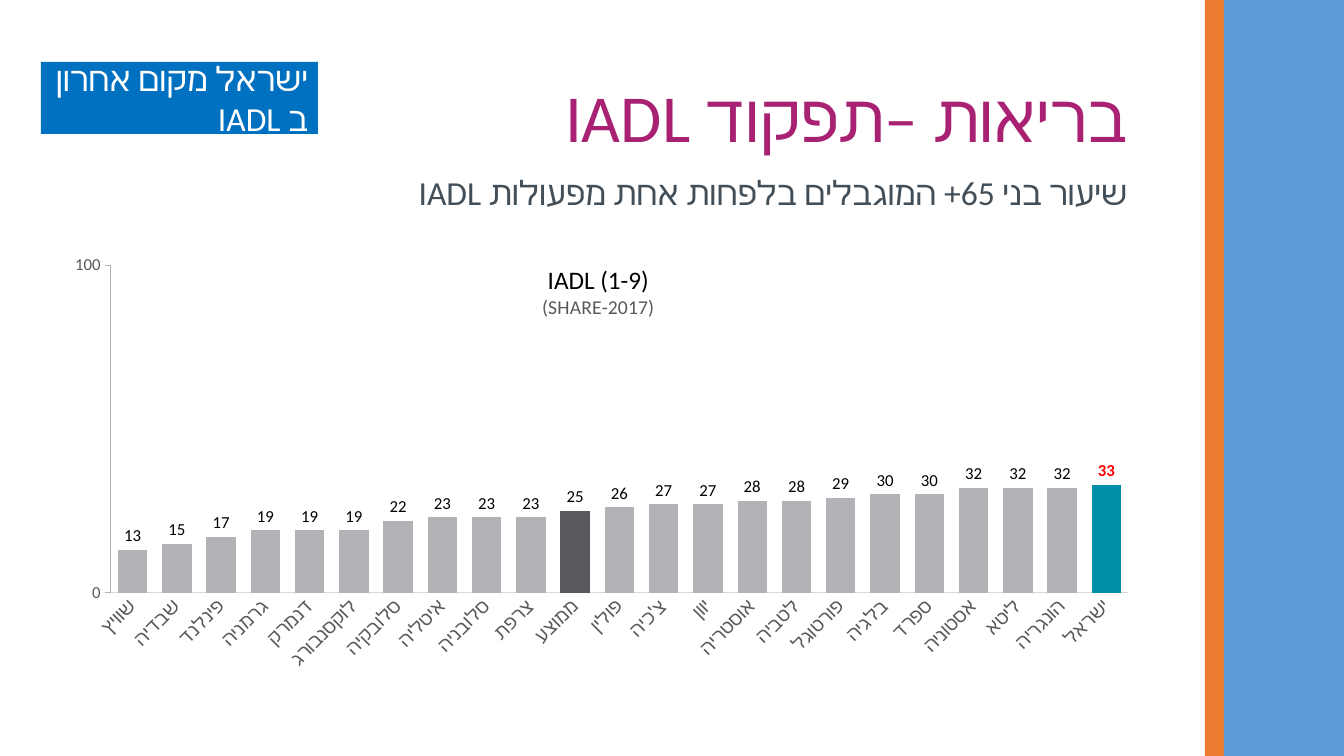
from dataclasses import dataclass

import pptx
import pptx.chart.data
import pptx.dml.color
import pptx.enum.chart
import pptx.enum.shapes
import pptx.enum.text
import pptx.oxml
import pptx.oxml.ns
import pptx.util

EMU_PER_PX = 914400 / 100.8


@dataclass(frozen=True)
class Theme:
    font: str = "Calibri"
    orange: str = "ED7D31"
    blue: str = "5B9BD5"
    callout: str = "0070C0"
    title: str = "A82172"
    subtitle: str = "424F58"
    white: str = "FFFFFF"
    black: str = "000000"
    axis_text: str = "595959"
    baseline: str = "D9D9D9"
    bar: str = "B1B3B6"
    average: str = "57595D"
    israel: str = "008DA8"
    alert: str = "FF0000"
    title_size: int = 48
    text_size: int = 24
    chart_title_size: int = 18
    category_size: int = 14
    label_size: int = 12


THEME = Theme()

COUNTRIES = {
    "שוויץ": 13, "שבדיה": 15, "פינלנד": 17, "גרמניה": 19, "דנמרק": 19,
    "לוקסנבורג": 19, "סלובקיה": 22, "איטליה": 23, "סלובניה": 23, "צרפת": 23,
    "ממוצע": 25, "פולין": 26, "צ'כיה": 27, "יוון": 27, "אוסטריה": 28,
    "לטביה": 28, "פורטוגל": 29, "בלגיה": 30, "ספרד": 30, "אסטוניה": 32,
    "ליטא": 32, "הונגריה": 32, "ישראל": 33,
}


def px(*lengths):
    return [pptx.util.Emu(round(length * EMU_PER_PX)) for length in lengths]


def color(value):
    return pptx.dml.color.RGBColor.from_string(value)


def style_font(font, size, value, bold=False):
    font.name = THEME.font
    font.size = pptx.util.Pt(size)
    font.bold = bold
    font.color.rgb = color(value)


def add_hebrew(shape, text, size, value, line_spacing=None, indent=0):
    """Write one right-to-left paragraph into the shape."""
    frame = shape.text_frame
    frame.word_wrap = True
    frame.vertical_anchor = pptx.enum.text.MSO_ANCHOR.MIDDLE
    paragraph = frame.paragraphs[0]
    paragraph.alignment = pptx.enum.text.PP_ALIGN.RIGHT
    paragraph.line_spacing = line_spacing
    properties = paragraph._p.get_or_add_pPr()
    properties.set("rtl", "1")
    if indent:
        properties.set("marL", str(px(indent)[0]))
        properties.set("indent", "0")
    run = paragraph.add_run()
    run.text = text
    style_font(run.font, size, value)
    complex_font = pptx.oxml.parse_xml(
        f'<a:cs {pptx.oxml.ns.nsdecls("a")} typeface="{THEME.font}"/>')
    run.font._element.append(complex_font)


def add_text_box(slide, box, text, size, value, **layout):
    add_hebrew(slide.shapes.add_textbox(*px(*box)), text, size, value, **layout)


def add_rectangle(slide, box, fill):
    shape = slide.shapes.add_shape(
        pptx.enum.shapes.MSO_SHAPE.RECTANGLE, *px(*box))
    shape.shadow.inherit = False
    shape.fill.solid()
    shape.fill.fore_color.rgb = color(fill)
    shape.line.fill.background()
    return shape


def set_layout(parent, x, y, width=None, height=None):
    """Place a chart part at fractions of the chart area."""
    inner = '<c:layoutTarget val="inner"/>' if width else ""
    parts = {"x": x, "y": y, "w": width, "h": height}
    modes = "".join(f'<c:{key}Mode val="edge"/>' for key in "xy")
    sizes = "".join(f'<c:{key} val="{value}"/>'
                    for key, value in parts.items() if value is not None)
    layout = pptx.oxml.parse_xml(
        f'<c:layout {pptx.oxml.ns.nsdecls("c")}><c:manualLayout>'
        f'{inner}{modes}{sizes}</c:manualLayout></c:layout>')
    for existing in parent.findall(pptx.oxml.ns.qn("c:layout")):
        parent.remove(existing)
    text = parent.find(pptx.oxml.ns.qn("c:tx"))
    parent.insert(0 if text is None else 1, layout)


def style_axis(axis, tick, size, line):
    axis.has_major_gridlines = False
    axis.major_tick_mark = tick
    axis.minor_tick_mark = pptx.enum.chart.XL_TICK_MARK.NONE
    axis.format.line.color.rgb = color(line)
    axis.format.line.width = pptx.util.Pt(0.75)
    style_font(axis.tick_labels.font, size, THEME.axis_text)


def add_chart_title(chart):
    frame = chart.chart_title.text_frame
    lines = [("IADL (1-9)", THEME.chart_title_size, THEME.black),
             ("(SHARE-2017)", THEME.category_size, THEME.axis_text)]
    for index, (text, size, value) in enumerate(lines):
        paragraph = frame.add_paragraph() if index else frame.paragraphs[0]
        run = paragraph.add_run()
        run.text = text
        style_font(run.font, size, value)
    chart.chart_title.include_in_layout = False
    set_layout(chart.chart_title._element, 0.45, 0.04)


def style_columns(plot):
    plot.gap_width = 50
    plot.overlap = -27
    plot.vary_by_categories = False
    series = plot.series[0]
    series.format.fill.solid()
    series.format.fill.fore_color.rgb = color(THEME.bar)
    names = list(COUNTRIES)
    for name, value in (("ממוצע", THEME.average), ("ישראל", THEME.israel)):
        fill = series.points[names.index(name)].format.fill
        fill.solid()
        fill.fore_color.rgb = color(value)
    outside = pptx.enum.chart.XL_LABEL_POSITION.OUTSIDE_END
    labels = series.data_labels
    labels.show_value = True
    labels.number_format = "0"
    labels.number_format_is_linked = False
    labels.position = outside
    style_font(labels.font, THEME.label_size, THEME.black)
    israel_label = series.points[names.index("ישראל")].data_label
    style_font(israel_label.font, THEME.label_size, THEME.alert, bold=True)
    israel_label.position = outside


def add_country_chart(slide, box):
    data = pptx.chart.data.CategoryChartData(number_format="0")
    data.categories = list(COUNTRIES)
    data.add_series("IADL", list(COUNTRIES.values()))
    chart = slide.shapes.add_chart(
        pptx.enum.chart.XL_CHART_TYPE.COLUMN_CLUSTERED, *px(*box), data).chart
    chart.has_legend = False
    style_font(chart.font, 10, THEME.black)
    add_chart_title(chart)
    ticks = pptx.enum.chart.XL_TICK_MARK
    style_axis(chart.category_axis, ticks.NONE, THEME.category_size, THEME.baseline)
    rotated = chart.category_axis._element.find(
        ".//" + pptx.oxml.ns.qn("a:bodyPr"))
    rotated.set("rot", "-2700000")
    rotated.set("vert", "horz")
    values = chart.value_axis
    style_axis(values, ticks.OUTSIDE, THEME.label_size, THEME.bar)
    values.minimum_scale = 0
    values.maximum_scale = values.major_unit = 100
    values.tick_labels.number_format = "0"
    values.tick_labels.number_format_is_linked = False
    style_columns(chart.plots[0])
    plot_area = chart._chartSpace.find(".//" + pptx.oxml.ns.qn("c:plotArea"))
    set_layout(plot_area, 0.05, 0.05, 0.95, 0.65)


def main():
    presentation = pptx.Presentation()
    presentation.slide_width, presentation.slide_height = px(1344, 756)
    slide = presentation.slides.add_slide(presentation.slide_layouts[6])
    add_rectangle(slide, (1205, 0, 19, 756), THEME.orange)
    add_rectangle(slide, (1224, 0, 120, 756), THEME.blue)
    add_text_box(slide, (103, 50, 1034, 146), "בריאות –תפקוד IADL",
                 THEME.title_size, THEME.title, line_spacing=0.8)
    add_text_box(slide, (116, 167, 1051, 50),
                 "שיעור בני 65+ המוגבלים בלפחות אחת מפעולות IADL",
                 THEME.text_size, THEME.subtitle, indent=30)
    add_country_chart(slide, (57, 240, 1072, 504))
    callout = add_rectangle(slide, (41, 62, 277, 72), THEME.callout)
    add_hebrew(callout, "ישראל מקום אחרון ב IADL", THEME.text_size, THEME.white)
    presentation.save("out.pptx")


if __name__ == "__main__":
    main()
